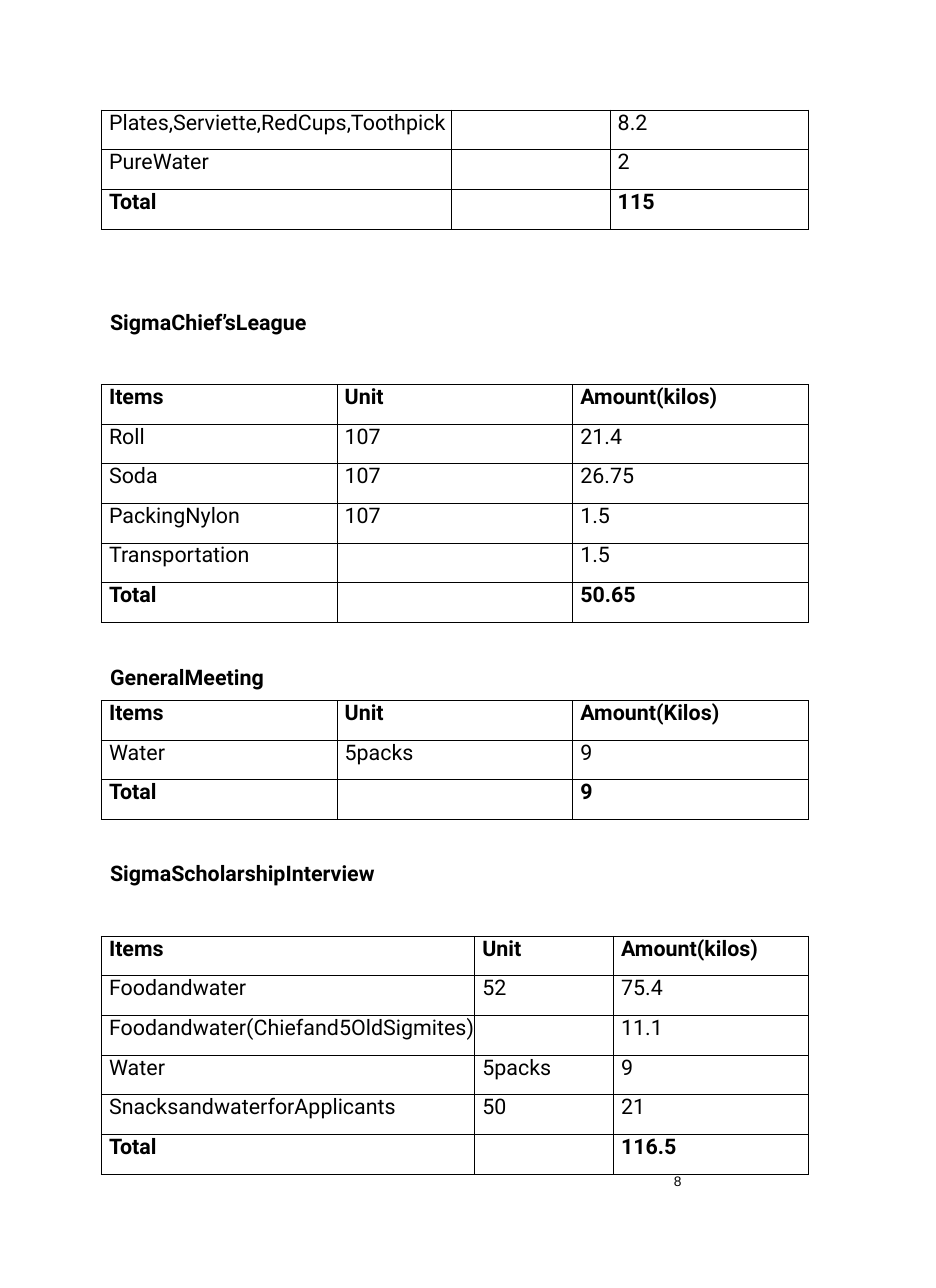
import pptx
import pptx.dml.color
import pptx.enum.text
import pptx.oxml
import pptx.oxml.ns
import pptx.util

BLACK = pptx.dml.color.RGBColor(0x00, 0x00, 0x00)
PX = 9144
ROW_HEIGHT = 36
TABLE_LEFT = 92
HEADING_LEFT = 99
BORDER = pptx.util.Pt(0.58)
BOLD_ROWS = ("Items", "Total")

SUPPLIES = [
    ("Plates,Serviette,RedCups,Toothpick", "", "8.2"),
    ("PureWater", "", "2"),
    ("Total", "", "115"),
]
LEAGUE = [
    ("Items", "Unit", "Amount(kilos)"),
    ("Roll", "107", "21.4"),
    ("Soda", "107", "26.75"),
    ("PackingNylon", "107", "1.5"),
    ("Transportation", "", "1.5"),
    ("Total", "", "50.65"),
]
MEETING = [
    ("Items", "Unit", "Amount(Kilos)"),
    ("Water", "5packs", "9"),
    ("Total", "", "9"),
]
INTERVIEW = [
    ("Items", "Unit", "Amount(kilos)"),
    ("Foodandwater", "52", "75.4"),
    ("Foodandwater(Chiefand5OldSigmites)", "", "11.1"),
    ("Water", "5packs", "9"),
    ("SnacksandwaterforApplicants", "50", "21"),
    ("Total", "", "116.5"),
]


def px(n):
    return pptx.util.Emu(n * PX)


def write(tf, text, font="Roboto", size=14, bold=False, indent=0):
    p = tf.paragraphs[0]
    pPr = p._p.get_or_add_pPr()
    pPr.set("marL", str(px(indent)))
    pPr.set("indent", "0")
    r = p.add_run()
    r.text = text
    r.font.name = font
    r.font.size = pptx.util.Pt(size)
    r.font.bold = bold
    r.font.color.rgb = BLACK


class Page:
    def __init__(self, prs):
        self.slide = prs.slides.add_slide(prs.slide_layouts[6])

    def text(self, left, top, width, height, text, **style):
        sp = self.slide.shapes.add_textbox(px(left), px(top), px(width), px(height))
        tf = sp.text_frame
        tf.word_wrap = True
        tf.auto_size = pptx.enum.text.MSO_AUTO_SIZE.SHAPE_TO_FIT_TEXT
        tf.margin_left = tf.margin_right = tf.margin_top = tf.margin_bottom = 0
        write(tf, text, **style)

    def heading(self, top, width, text):
        self.text(HEADING_LEFT, top, width, 22, text, bold=True, indent=1)

    def border(self, cell):
        tcPr = cell._tc.get_or_add_tcPr()
        for side in ("lnL", "lnR", "lnT", "lnB"):
            tcPr.append(pptx.oxml.parse_xml(
                f'<a:{side} {pptx.oxml.ns.nsdecls("a")} w="{BORDER}">'
                f'<a:solidFill><a:srgbClr val="{BLACK}"/></a:solidFill></a:{side}>'
            ))

    def table(self, top, widths, rows):
        table = self.slide.shapes.add_table(
            len(rows), len(widths), px(TABLE_LEFT), px(top),
            px(sum(widths)), px(ROW_HEIGHT * len(rows)),
        ).table
        table.first_row = False
        table.horz_banding = False
        for column, width in zip(table.columns, widths):
            column.width = px(width)
        for i, row in enumerate(rows):
            for j, text in enumerate(row):
                cell = table.cell(i, j)
                cell.margin_left = cell.margin_right = 0
                cell.margin_top = cell.margin_bottom = 0
                self.border(cell)
                cell.fill.background()
                if text:
                    write(cell.text_frame, text, bold=row[0] in BOLD_ROWS, indent=7)


def main():
    prs = pptx.Presentation()
    prs.slide_width = pptx.util.Pt(612)
    prs.slide_height = pptx.util.Pt(842)
    page = Page(prs)

    page.text(609, 1065, 198, 81, "8", font="Arial", size=9, indent=3)
    page.heading(281, 200, "SigmaChief’sLeague")
    page.heading(603, 158, "GeneralMeeting")
    page.heading(781, 273, "SigmaScholarshipInterview")

    page.table(100, (318, 144, 180), SUPPLIES)
    page.table(349, (214, 214, 214), LEAGUE)
    page.table(636, (214, 214, 214), MEETING)
    page.table(850, (339, 126, 177), INTERVIEW)

    prs.save("out.pptx")


if __name__ == "__main__":
    main()
